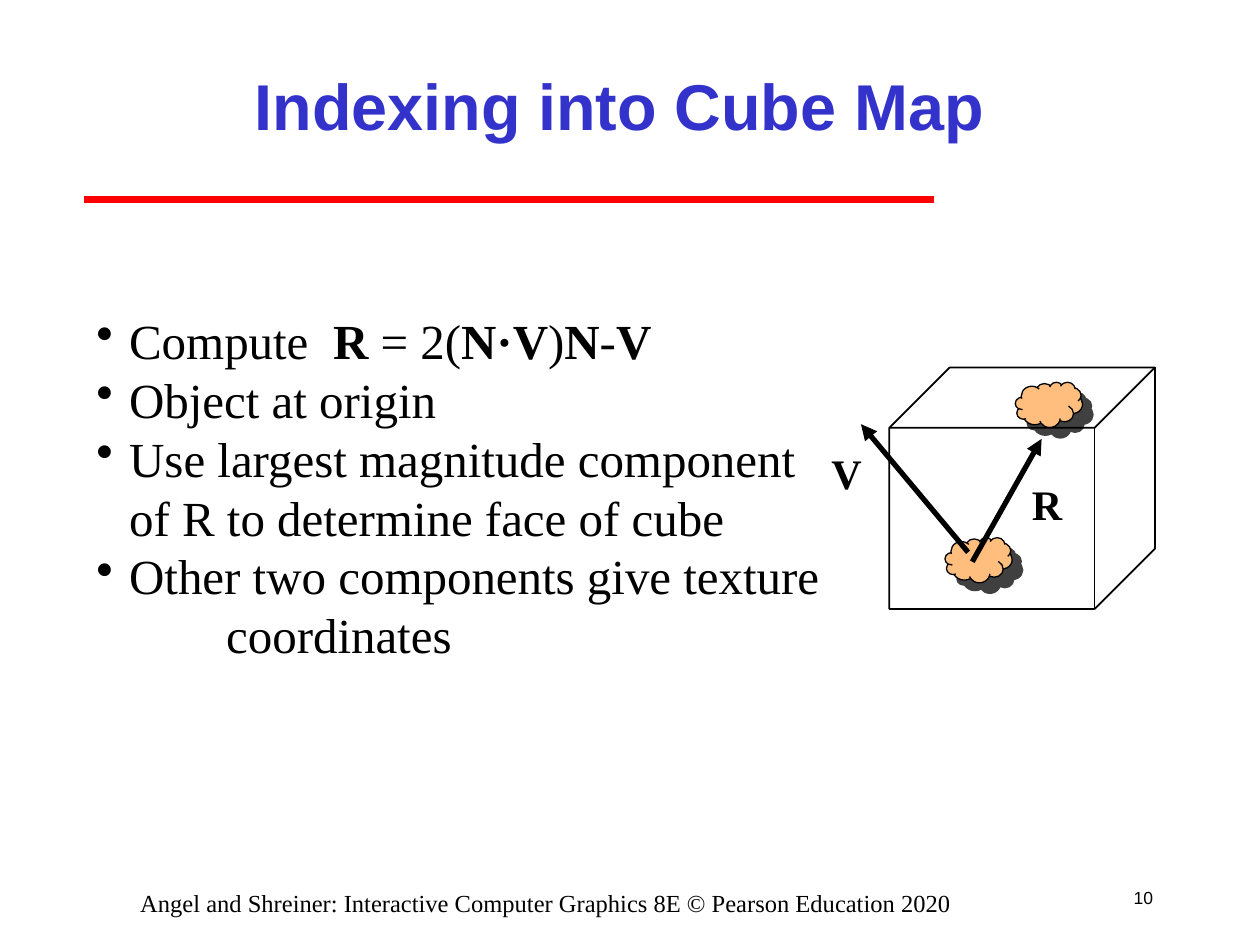
from pptx import Presentation
from pptx.dml.color import RGBColor
from pptx.enum.shapes import MSO_CONNECTOR as Link, MSO_SHAPE as Shape
from pptx.enum.text import MSO_ANCHOR as Anchor, PP_ALIGN as Align
from pptx.oxml import parse_xml
from pptx.oxml.ns import nsdecls, qn
from pptx.util import Inches, Pt

BLACK = RGBColor(0x00, 0x00, 0x00)
RED = RGBColor(0xFF, 0x00, 0x00)
BLUE = RGBColor(0x33, 0x33, 0xCC)
PEACH = RGBColor(0xFF, 0xBE, 0x7D)
SANS, SERIF = "Arial", "Times New Roman"
COLUMNS, ROWS = 120, 90
HANG, TAB = Inches(0.26), Inches(1.03)


def element(tag, attributes="", inner=""):
    return parse_xml(f"<a:{tag} {nsdecls('a')} {attributes}>{inner}</a:{tag}>")


class Slide:
    """Draws styled elements on one page, measured in grid columns and rows."""

    def __init__(self, deck):
        self.page = deck.slides.add_slide(deck.slide_layouts[6])
        self.column = deck.slide_width / COLUMNS
        self.row = deck.slide_height / ROWS

    def place(self, *grid):
        units = (self.column, self.row) * 2
        return [round(value * unit) for value, unit in zip(grid, units)]

    def text(self, grid, paragraphs, size, font=SERIF, color=BLACK, bold=False,
             align=Align.LEFT, anchor=Anchor.TOP, wrap=True, bullet=None):
        frame = self.page.shapes.add_textbox(*self.place(*grid)).text_frame
        frame.word_wrap = wrap
        frame.vertical_anchor = anchor
        for index, spans in enumerate(paragraphs):
            para = frame.add_paragraph() if index else frame.paragraphs[0]
            if bullet:
                properties = para._p.get_or_add_pPr()
                properties.set("marL", str(HANG))
                properties.set("indent", str(-HANG))
                properties.append(element("buChar", f'char="{bullet}"'))
                stop = f'<a:tab pos="{TAB}" algn="l"/>'
                properties.append(element("tabLst", inner=stop))
            para.alignment = align
            for words, strong in spans:
                for number, line in enumerate(words.split("\n")):
                    if number:
                        para.add_line_break()
                    span = para.add_run()
                    span.text = line
                    span.font.name = font
                    span.font.size = Pt(size)
                    span.font.bold = bold or strong
                    span.font.color.rgb = color

    def line(self, start, end, color, width, arrow=False):
        line = self.page.shapes.add_connector(
            Link.STRAIGHT, *self.place(*start, *end))
        line.line.color.rgb = color
        line.line.width = Pt(width)
        properties = line.element.spPr
        if arrow:
            properties.find(qn("a:ln")).append(element("tailEnd", 'type="triangle"'))
        properties.append(element("effectLst"))

    def shape(self, kind, grid, width, fill=None, shadow=False):
        shape = self.page.shapes.add_shape(kind, *self.place(*grid))
        if fill is None:
            shape.fill.background()
        else:
            shape.fill.solid()
            shape.fill.fore_color.rgb = fill
        shape.line.color.rgb = BLACK
        shape.line.width = Pt(width)
        shape.shadow.inherit = False
        if shadow:
            color = f'<a:srgbClr val="{BLACK}"><a:alpha val="75000"/></a:srgbClr>'
            shape.element.spPr.find(qn("a:effectLst")).append(element(
                "outerShdw", f'blurRad="0" dist="{Pt(8.5)}" dir="2700000"', color))

    def cloud(self, left, top):
        self.shape(Shape.CLOUD, (left, top, 6.4, 4.3), 0.75, PEACH, shadow=True)

    def vector(self, start, end):
        self.line(start, end, BLACK, 3, arrow=True)

    def label(self, name, left, top):
        self.text((left, top, 5.3, 6), [[(name, True)]], 24, wrap=False)


def main():
    deck = Presentation()
    deck.slide_width, deck.slide_height = Inches(10), Inches(7.5)
    slide = Slide(deck)

    slide.line((8, 19), (89, 19), RED, 4)
    slide.text((106, 83, 5, 5), [[("10", False)]], 10, SANS,
               align=Align.RIGHT, anchor=Anchor.MIDDLE, wrap=False)
    slide.text((18, 3, 82, 14), [[("Indexing into Cube Map", True)]], 37, SANS, BLUE,
               align=Align.CENTER, anchor=Anchor.MIDDLE)

    slide.cloud(90, 51.2)
    slide.vector((92.6, 53.5), (99.2, 41.8))
    slide.shape(Shape.CUBE, (84.7, 35, 25.3, 23), 1)
    slide.cloud(96.7, 36.4)
    slide.vector((92.2, 52.6), (82, 40.4))
    slide.label("V", 78, 42)
    slide.label("R", 97.1, 45)

    slide.text((8, 29, 74, 34.8), [
        [("Compute  ", False), ("R", True), (" = 2(", False), ("N·V", True),
         (")", False), ("N", True), ("-", False), ("V", True)],
        [("Object at origin", False)],
        [("Use largest magnitude component\nof R to determine face of cube", False)],
        [("Other two components give texture\n\tcoordinates", False)],
    ], 28, bullet="•")
    slide.text((6, 84, 92, 3), [[(
        "Angel and Shreiner: Interactive Computer Graphics 8E © Pearson Education 2020",
        False)]], 14, align=Align.CENTER)
    deck.save("out.pptx")


if __name__ == "__main__":
    main()
